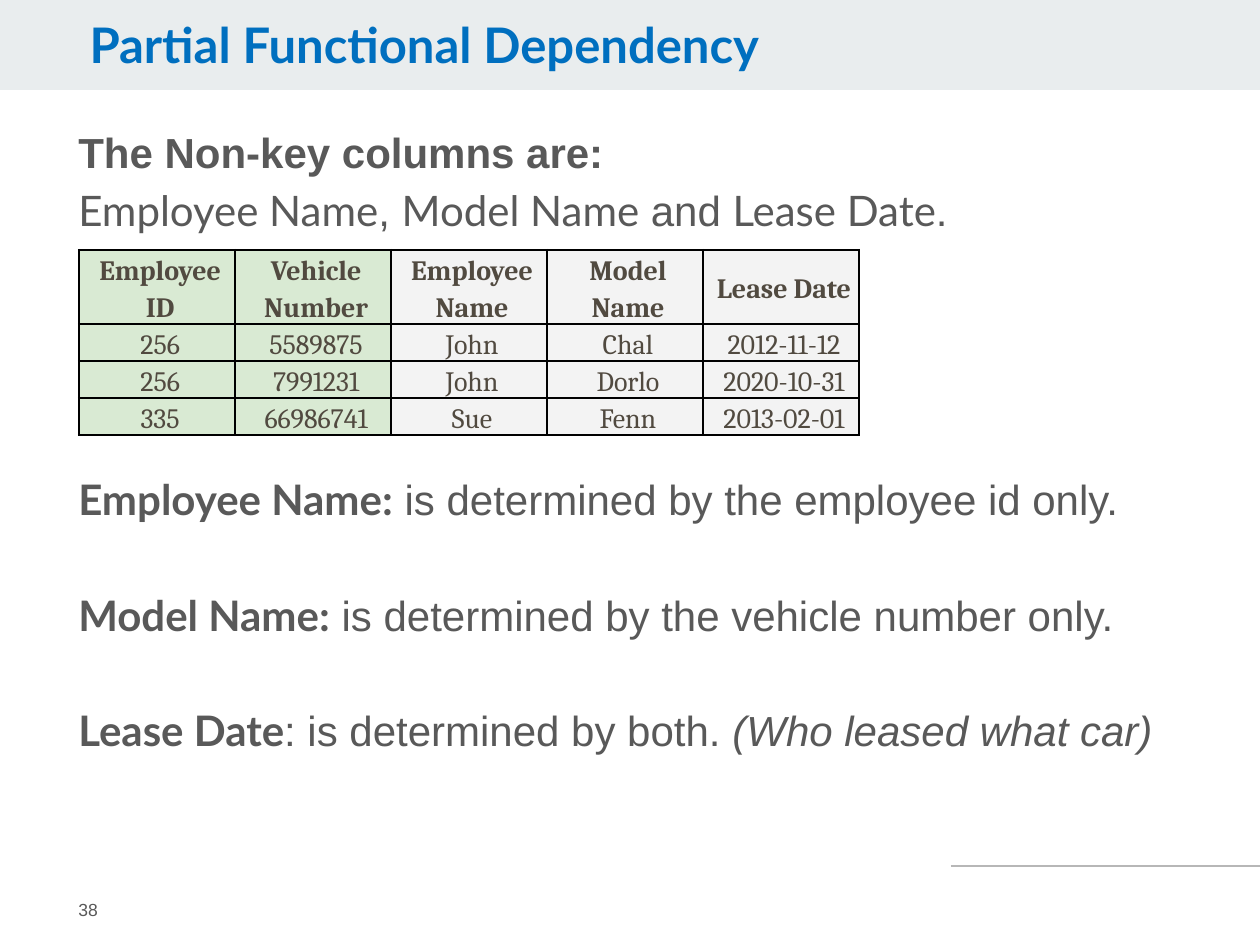
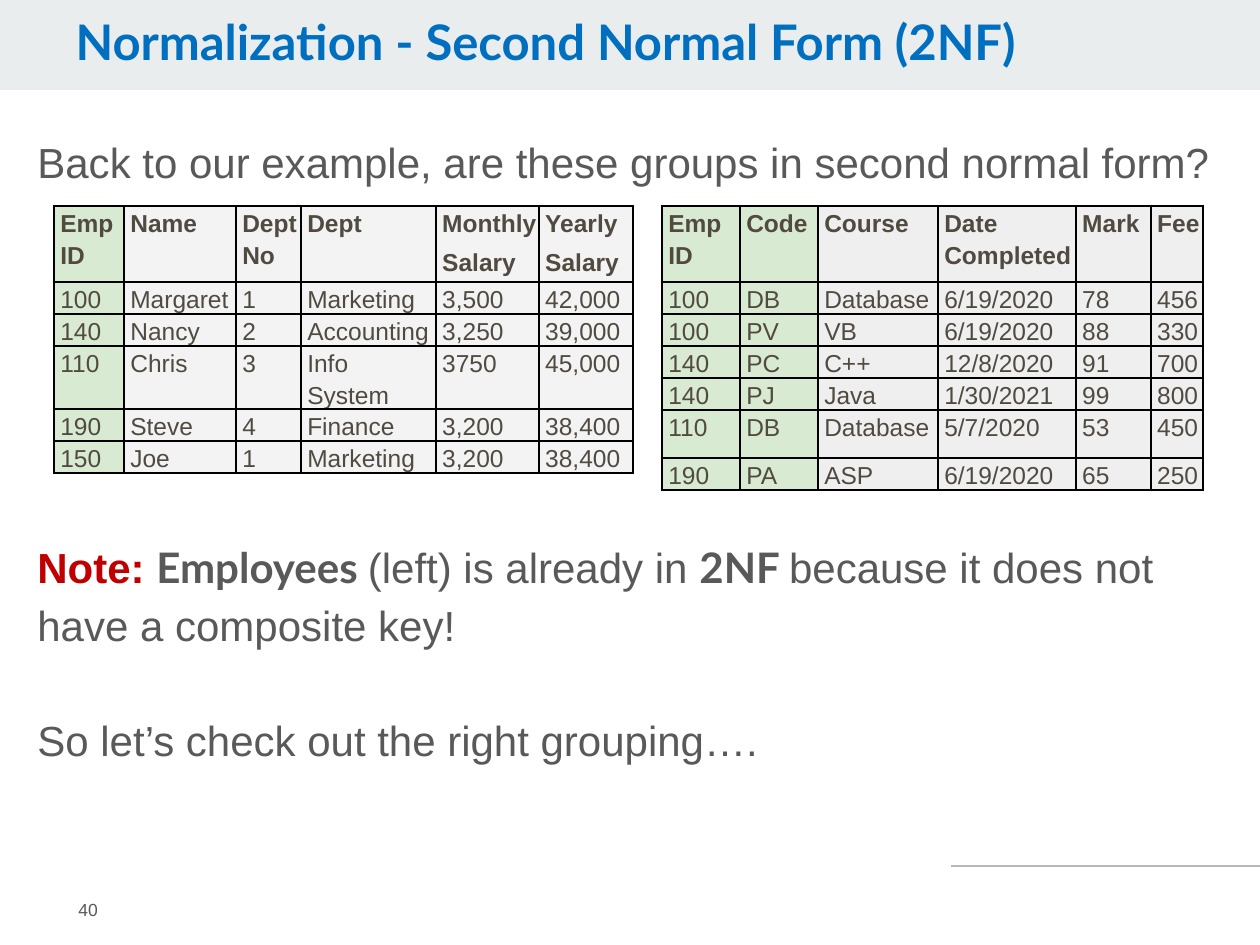
from lxml.etree import SubElement
from pptx import Presentation
from pptx.dml.color import RGBColor
from pptx.enum.shapes import MSO_CONNECTOR, MSO_SHAPE
from pptx.enum.text import MSO_ANCHOR, MSO_AUTO_SIZE, PP_ALIGN
from pptx.oxml import parse_xml
from pptx.oxml.ns import nsdecls, qn
from pptx.util import Emu, Pt

PX = 914400 / 126
SLIDE_W, SLIDE_H = 1260, 945
BLANK = 33  # points skipped for one empty line of body text
COLORS = {
    "title": "006FBF", "text": "595959", "note": "C00000", "cell": "514A40",
    "band": "E9EDEE", "rule": "B7B7B7", "border": "000000",
    "key": "D9EAD3", "light": "F3F3F3", "grey": "EFEFEF",
}

LATO = {"font": "Lato"}
LATO_BOLD = {"font": "Lato", "bold": True}
BOLD = {"bold": True}

# Body paragraphs are (space before in points, [(text, format), ...]).
SLIDES = [
    {
        "title": "Partial Functional Dependency",
        "title_box": (77, 15, 993, 69),
        "number": "38",
        "body_box": (66, 113, 1148, 629),
        "body": [
            (0, [("The Non-key columns are:", BOLD)]),
            (0, [("Employee Name", LATO), (", ", {}), ("Model Name", LATO),
                 (" and ", {}), ("Lease Date", LATO), (".", {})]),
            (4 * BLANK, [("Employee Name:", LATO_BOLD),
                         (" is determined by the employee id only.", {})]),
            (BLANK, [("Model Name:", LATO_BOLD),
                     (" is determined by the vehicle number only.", {})]),
            (BLANK, [("Lease Date", LATO_BOLD), (": is determined by both. ", {}),
                     ("(Who leased what car)", {"italic": True})]),
        ],
        "tables": [{
            "at": (79, 250), "cols": [156] * 5, "rows": [74, 37, 37, 37],
            "keys": 2, "fill": "light", "centered": True,
            "format": {"font": "Cambria", "size": 16},
            "cells": [
                ["Employee ID", "Vehicle Number", "Employee Name", "Model Name", "Lease Date"],
                ["256", "5589875", "John", "Chal", "2012-11-12"],
                ["256", "7991231", "John", "Dorlo", "2020-10-31"],
                ["335", "66986741", "Sue", "Fenn", "2013-02-01"],
            ],
        }],
    },
    {
        "title": "Normalization - Second Normal Form (2NF)",
        "title_box": (63, 12, 993, 69),
        "number": "40",
        "body_box": (25, 123, 1203, 683),
        "body": [
            (0, [("Back to our example, are these groups in second normal form?", {})]),
            (6 * BLANK, [("Note: ", {"bold": True, "color": "note"}),
                         ("Employees ", LATO_BOLD), ("(left) is already in ", {}),
                         ("2NF ", LATO_BOLD),
                         ("because it does not have a composite key!", {})]),
            (BLANK, [("So let’s check out the right grouping….", {})]),
        ],
        "tables": [
            {
                "at": (662, 206), "cols": [78, 78, 120, 138, 75, 52],
                "rows": [76, 32, 32, 32, 32, 48, 32],
                "keys": 2, "fill": "grey", "centered": False,
                "format": {"font": "Arial", "size": 14},
                "cells": [
                    ["Emp ID", "Code", "Course", "Date Completed", "Mark", "Fee"],
                    ["100", "DB", "Database", "6/19/2020", "78", "456"],
                    ["100", "PV", "VB", "6/19/2020", "88", "330"],
                    ["140", "PC", "C++", "12/8/2020", "91", "700"],
                    ["140", "PJ", "Java", "1/30/2021", "99", "800"],
                    ["110", "DB", "Database", "5/7/2020", "53", "450"],
                    ["190", "PA", "ASP", "6/19/2020", "65", "250"],
                ],
            },
            {
                "at": (54, 206), "cols": [70, 112, 65, 135, 103, 94],
                "rows": [76, 32, 32, 63, 32, 31],
                "keys": 1, "fill": "light", "centered": False,
                "format": {"font": "Arial", "size": 14},
                "cells": [
                    ["Emp ID", "Name", "Dept No", "Dept", "Monthly\nSalary", "Yearly\nSalary"],
                    ["100", "Margaret", "1", "Marketing", "3,500", "42,000"],
                    ["140", "Nancy", "2", "Accounting", "3,250", "39,000"],
                    ["110", "Chris", "3", "Info System", "3750", "45,000"],
                    ["190", "Steve", "4", "Finance", "3,200", "38,400"],
                    ["150", "Joe", "1", "Marketing", "3,200", "38,400"],
                ],
            },
        ],
    },
]


def px(*values):
    return [Emu(round(v * PX)) for v in values]


def rgb(name):
    return RGBColor.from_string(COLORS[name])


def add_run(p, text, font="Arial", size=24, color="text", bold=False, italic=False):
    r = p.add_run()
    r.text = text
    r.font.name, r.font.size = font, Pt(size)
    r.font.bold, r.font.italic = bold, italic
    r.font.color.rgb = rgb(color)


def write(tf, paragraphs, spacing=1.15, align=PP_ALIGN.LEFT, **base):
    """Fill a text frame with (space before, runs) paragraphs; runs override base."""
    for i, (before, runs) in enumerate(paragraphs):
        p = tf.add_paragraph() if i else tf.paragraphs[0]
        p.alignment, p.line_spacing = align, spacing
        p.space_before = Pt(before)
        for text, fmt in runs:
            add_run(p, text, **{**base, **fmt})


def set_frame(tf, side, top, anchor=MSO_ANCHOR.TOP):
    tf.word_wrap, tf.auto_size, tf.vertical_anchor = True, MSO_AUTO_SIZE.NONE, anchor
    tf.margin_left = tf.margin_right = Pt(side)
    tf.margin_top = tf.margin_bottom = Pt(top)


def add_text(s, box, paragraphs, top=3.6, anchor=MSO_ANCHOR.TOP, **fmt):
    tf = s.shapes.add_textbox(*px(*box)).text_frame
    set_frame(tf, 7.2, top, anchor)
    write(tf, paragraphs, **fmt)


def set_borders(cell):
    tc_pr = cell._tc.get_or_add_tcPr()
    for i, side in enumerate("LRTB"):
        tc_pr.insert(i, parse_xml(
            f'<a:ln{side} {nsdecls("a")} w="{Pt(1.5)}"><a:solidFill>'
            f'<a:srgbClr val="{COLORS["border"]}"/></a:solidFill></a:ln{side}>'))


def add_grid(s, spec):
    cols, rows = spec["cols"], spec["rows"]
    table = s.shapes.add_table(len(rows), len(cols),
                               *px(*spec["at"], sum(cols), sum(rows))).table
    table.first_row = table.horz_banding = False
    for col, width in zip(table.columns, px(*cols)):
        col.width = width
    for row, height in zip(table.rows, px(*rows)):
        row.height = height
    for i, texts in enumerate(spec["cells"]):
        for j, text in enumerate(texts):
            cell = table.cell(i, j)
            cell.margin_left = Pt(3.6)
            cell.margin_right = cell.margin_top = cell.margin_bottom = 0
            cell.vertical_anchor = MSO_ANCHOR.MIDDLE if spec["centered"] else MSO_ANCHOR.TOP
            cell.fill.solid()
            cell.fill.fore_color.rgb = rgb("key" if j < spec["keys"] else spec["fill"])
            set_borders(cell)
            lines = [(4 if k else 0, [(line, {})]) for k, line in enumerate(text.split("\n"))]
            write(cell.text_frame, lines, color="cell", bold=i == 0,
                  align=PP_ALIGN.CENTER if spec["centered"] else PP_ALIGN.LEFT,
                  **spec["format"])


def add_frame(s, title, title_box, number):
    """Draw what every slide shares: band, title, footer rule and slide number."""
    sp = s.shapes.title
    sp.left, sp.top, sp.width, sp.height = px(*title_box)
    set_frame(sp.text_frame, 7.2, 3.6)
    write(sp.text_frame, [(0, [(title, LATO_BOLD)])], spacing=0.9, size=28, color="title")

    band = s.shapes.add_shape(MSO_SHAPE.RECTANGLE, *px(0, 0, SLIDE_W, 90))
    band.shadow.inherit = False
    band.fill.solid()
    band.fill.fore_color.rgb = rgb("band")
    band.line.fill.background()
    sp.element.addprevious(band.element)

    rule = s.shapes.add_connector(MSO_CONNECTOR.STRAIGHT, *px(951, 866, SLIDE_W, 866))
    rule.line.color.rgb = rgb("rule")
    rule.line.width = Pt(0.75)
    SubElement(rule.element.spPr, qn("a:effectLst"))

    add_text(s, (66, 873, 155, 72), [(0, [(number, {})])], top=7.2,
             anchor=MSO_ANCHOR.MIDDLE, spacing=1.0, size=10)


def main():
    prs = Presentation()
    prs.slide_width, prs.slide_height = px(SLIDE_W, SLIDE_H)
    for spec in SLIDES:
        s = prs.slides.add_slide(prs.slide_layouts[5])
        add_frame(s, spec["title"], spec["title_box"], spec["number"])
        add_text(s, spec["body_box"], spec["body"])
        for table in spec["tables"]:
            add_grid(s, table)
    prs.save("out.pptx")


if __name__ == "__main__":
    main()
